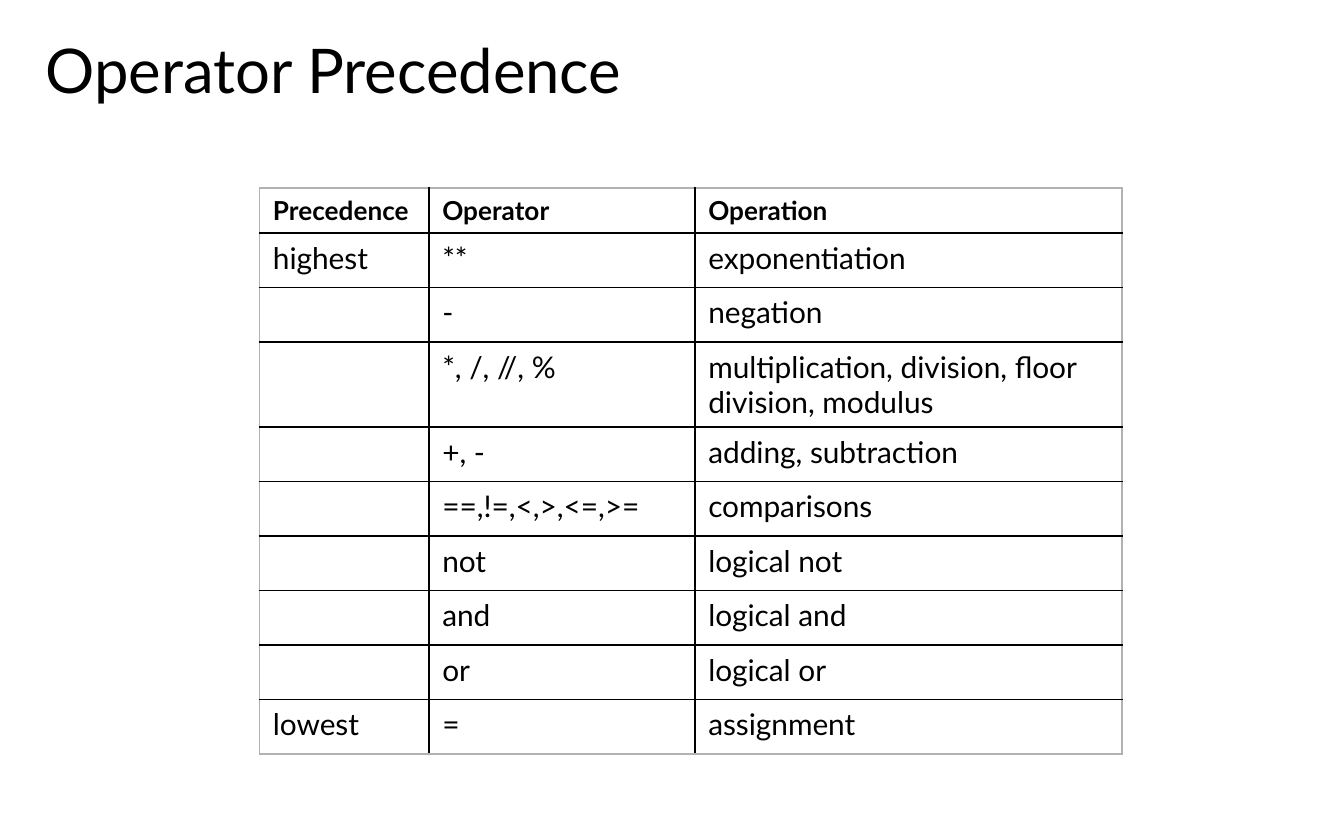
from lxml import etree
from pptx import Presentation
from pptx.dml.color import RGBColor
from pptx.enum.text import MSO_ANCHOR, PP_ALIGN
from pptx.oxml.ns import qn
from pptx.util import Pt

MIDDLE = MSO_ANCHOR.MIDDLE
LEFT = PP_ALIGN.LEFT
TITLE_ONLY = 5
COLUMN_WIDTHS = (90.75, 142.5, 228.75)
HEADER_HEIGHT, ROW_HEIGHT, TWO_LINE_HEIGHT = 24, 29.2, 45.6
PRECEDENCE_ROWS = (
    ("Precedence", "Operator", "Operation"),
    ("highest", "**", "exponentiation"),
    ("", "-", "negation"),
    ("", "*, /, //, %", "multiplication, division, floor division, modulus"),
    ("", "+, -", "adding, subtraction"),
    ("", "==,!=,<,>,<=,>=", "comparisons"),
    ("", "not", "logical not"),
    ("", "and", "logical and"),
    ("", "or", "logical or"),
    ("lowest", "=", "assignment"),
)
ROW_HEIGHTS = [HEADER_HEIGHT] + [ROW_HEIGHT] * (len(PRECEDENCE_ROWS) - 1)
ROW_HEIGHTS[3] = TWO_LINE_HEIGHT


def color(value):
    return RGBColor.from_string(value)


class Deck:
    """Holds the shared style and draws on the current slide."""

    font = "Lato"
    ink = "000000"
    frame = "B2B2B2"

    def __init__(self, width, height):
        self.presentation = Presentation()
        self.presentation.slide_width = Pt(width)
        self.presentation.slide_height = Pt(height)
        layout = self.presentation.slide_layouts[TITLE_ONLY]
        self.slide = self.presentation.slides.add_slide(layout)

    def style(self, paragraph, size, bold=False):
        paragraph.alignment = LEFT
        for run in paragraph.runs:
            run.font.name = self.font
            run.font.size = Pt(size)
            run.font.bold = bold
            run.font.color.rgb = color(self.ink)

    def title(self, text, left, top, width, height, size):
        heading = self.slide.shapes.title
        heading.left, heading.top = Pt(left), Pt(top)
        heading.width, heading.height = Pt(width), Pt(height)
        heading.text_frame.text = text
        heading.text_frame.vertical_anchor = MIDDLE
        paragraph = heading.text_frame.paragraphs[0]
        paragraph.line_spacing = 0.9
        self.style(paragraph, size)

    def border(self, cell, side, value):
        properties = cell._tc.get_or_add_tcPr()
        line = etree.SubElement(properties, qn(f"a:{side}"), w=str(Pt(1)))
        fill = etree.SubElement(line, qn("a:solidFill"))
        etree.SubElement(fill, qn("a:srgbClr"), val=value)

    def table(self, rows, left, top, widths, heights):
        grid = self.slide.shapes.add_table(
            len(rows), len(widths), Pt(left), Pt(top), Pt(sum(widths)), Pt(sum(heights))
        ).table
        grid.first_row = grid.horz_banding = False
        for column, width in zip(grid.columns, widths):
            column.width = Pt(width)
        for row, height in zip(grid.rows, heights):
            row.height = Pt(height)
        for r, texts in enumerate(rows):
            for c, text in enumerate(texts):
                cell = grid.cell(r, c)
                cell.text_frame.text = text
                self.style(cell.text_frame.paragraphs[0], 16 if r else 14, r == 0)
                outer_sides = {
                    "lnL": c == 0,
                    "lnR": c == len(widths) - 1,
                    "lnT": r == 0,
                    "lnB": r == len(rows) - 1,
                }
                for side, outer in outer_sides.items():
                    self.border(cell, side, self.frame if outer else self.ink)
                cell.fill.background()


deck = Deck(720, 450)
deck.title("Operator Precedence", 17.3, 12.2, 555, 54, 33)
deck.table(PRECEDENCE_ROWS, 139, 100.8, COLUMN_WIDTHS, ROW_HEIGHTS)
deck.presentation.save("out.pptx")
